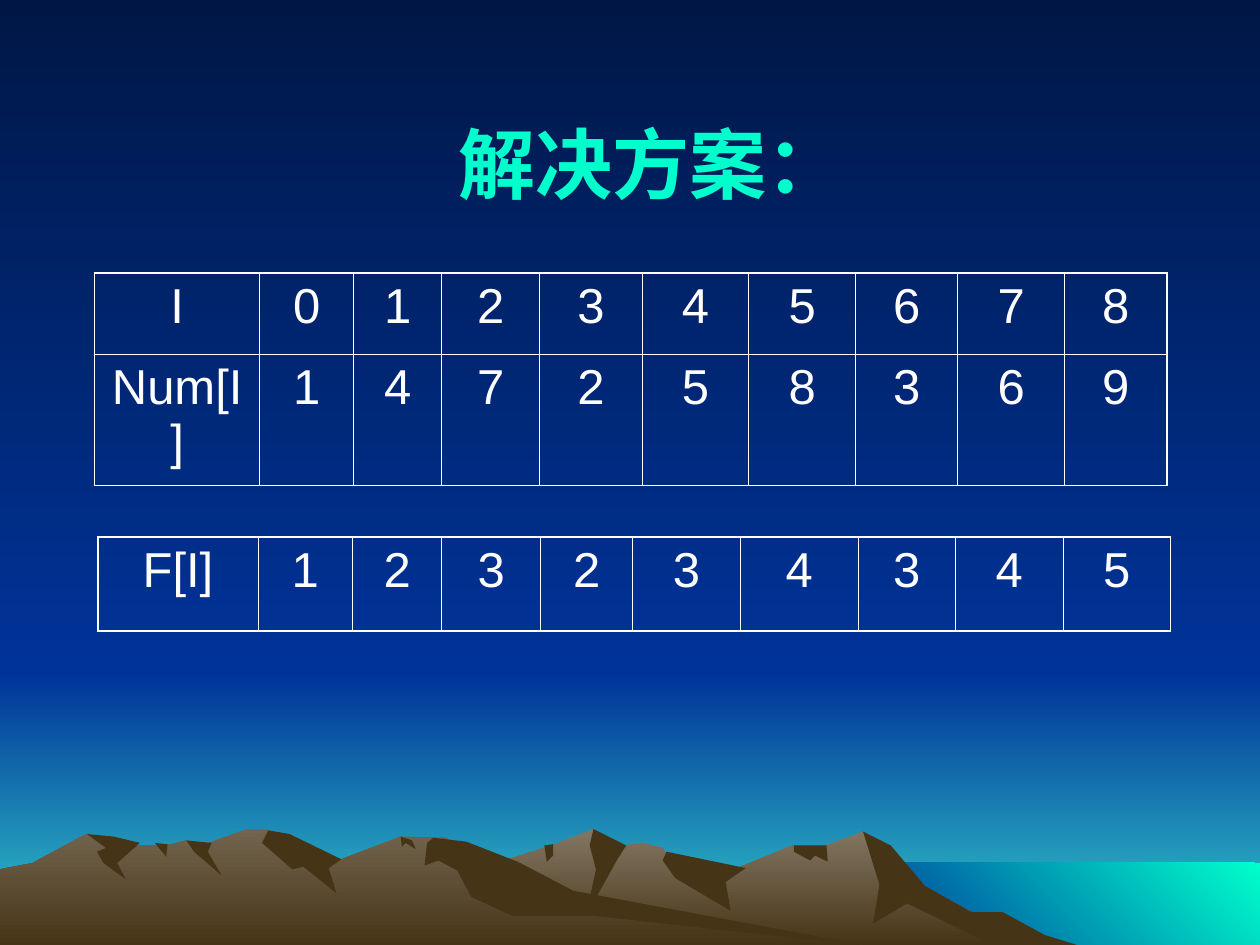
from lxml.etree import SubElement
from pptx import Presentation
from pptx.dml.color import RGBColor
from pptx.enum.shapes import MSO_SHAPE
from pptx.enum.text import MSO_ANCHOR, PP_ALIGN
from pptx.oxml.ns import qn
from pptx.util import Pt

COLORS = {
    "night": "001746", "blue": "003399", "horizon": "33CCCC", "mint": "00FFCC",
    "far_rock": "837763", "near_rock": "72644E", "shade": "463416", "white": "FFFFFF",
}
FONT = "Arial"
OUTER_LINE, INNER_LINE = Pt(1.08), Pt(0.45)


def paint(fill, names, angle=270):
    """Fill with one colour, or with a gradient between two."""
    if len(names) == 1:
        fill.solid()
        fill.fore_color.rgb = RGBColor.from_string(COLORS[names[0]])
        return
    fill.gradient()
    fill.gradient_angle = angle
    for stop, name in zip(fill.gradient_stops, names):
        stop.color.rgb = RGBColor.from_string(COLORS[name])


def format_text(paragraph, size, color, bold=False):
    paragraph.alignment = PP_ALIGN.CENTER
    for run in paragraph.runs:
        run.font.name = FONT
        run.font.size = Pt(size)
        run.font.bold = bold
        run.font.color.rgb = RGBColor.from_string(COLORS[color])


presentation = Presentation()
presentation.slide_width, presentation.slide_height = Pt(720), Pt(540)
slide = presentation.slides.add_slide(presentation.slide_layouts[6])
paint(slide.background.fill, ["night", "blue"])

# Sky and sea: left, top, width, height, colours, gradient angle
bands = [
    (0, 384, 720, 156, ["blue", "horizon"], 270),
    (0, 0, 720, 384, ["night", "blue"], 270),
    (492, 493, 228, 48, ["mint", "blue"], 225),
]
for left, top, width, height, names, angle in bands:
    shape = slide.shapes.add_shape(
        MSO_SHAPE.RECTANGLE, Pt(left), Pt(top), Pt(width), Pt(height))
    shape.shadow.inherit = False
    shape.line.fill.background()
    paint(shape.fill, names, angle)

# Mountains, back to front: colours and outline in units of 0.72 pt
UNIT = Pt(0.72)
mountains = [
    # Far range and its shaded sides
    (["far_rock", "shade"], [
        (821, 751), (723, 698), (685, 660), (656, 671), (629, 671), (566, 697),
        (536, 690), (526, 673), (509, 669), (486, 673), (471, 658), (438, 671),
        (394, 685), (258, 751)]),
    (["shade"], [
        (796, 724), (771, 724), (734, 703), (707, 671), (685, 660), (698, 702),
        (693, 733), (720, 717), (792, 752), (858, 751), (829, 742)]),
    (["shade"], [
        (471, 658), (468, 671), (473, 690), (465, 727), (490, 682), (497, 671)]),
    (["shade"], [
        (529, 676), (526, 683), (536, 697), (580, 723), (576, 700), (592, 689)]),
    (["shade"], [
        (630, 671), (630, 676), (643, 683), (647, 679), (657, 684), (656, 671)]),
    (["shade"], [(432, 671), (439, 670), (439, 679), (434, 684)]),
    # Near range and its shaded sides
    (["near_rock", "shade"], [
        (690, 751), (432, 712), (354, 665), (318, 664), (271, 682), (236, 681),
        (212, 658), (196, 658), (160, 671), (148, 667), (132, 671), (94, 671),
        (68, 662), (26, 685), (0, 690), (0, 751)]),
    (["shade"], [
        (213, 659), (208, 669), (232, 690), (241, 688), (267, 709), (261, 689),
        (271, 682), (230, 662)]),
    (["shade"], [
        (370, 668), (344, 665), (339, 669), (337, 687), (348, 683), (363, 691),
        (374, 712), (407, 727), (472, 727), (690, 751), (455, 707), (411, 684)]),
    (["shade"], [(318, 664), (327, 667), (330, 674), (322, 669), (319, 672)]),
    (["shade"], [
        (148, 667), (168, 669), (165, 676), (176, 695), (154, 676)]),
    (["shade"], [(123, 669), (133, 670), (132, 680)]),
    (["shade"], [
        (111, 669), (93, 685), (100, 698), (82, 685), (77, 676), (84, 673),
        (69, 662), (90, 664)]),
]
for names, outline in mountains:
    builder = slide.shapes.build_freeform(*outline[0], scale=UNIT)
    builder.add_line_segments(outline[1:], close=True)
    shape = builder.convert_to_shape()
    shape.shadow.inherit = False
    shape.line.fill.background()
    paint(shape.fill, names)

# Title
title = slide.shapes.add_textbox(Pt(54), Pt(48), Pt(636.5), Pt(90))
title.text_frame.word_wrap = True
title.text_frame.vertical_anchor = MSO_ANCHOR.MIDDLE
title.text_frame.text = "解决方案："
format_text(title.text_frame.paragraphs[0], 44, "mint", bold=True)

# Tables: left, top, column widths, row heights, rows of text
tables = [
    (54, 156, [94.5, 53.5, 50.5, 56, 58.5, 61, 61, 58.5, 61, 58.5], [46.5, 75],
     [["I", *"012345678"], ["Num[I]", *"147258369"]]),
    (56, 307, [91.5, 54, 51, 56.5, 52.5, 61.5, 67.5, 55.5, 61.5, 61.5], [53.75],
     [["F[I]", *"123234345"]]),
]
for left, top, widths, heights, rows in tables:
    frame = slide.shapes.add_table(
        len(rows), len(widths), Pt(left), Pt(top), Pt(sum(widths)), Pt(sum(heights)))
    table = frame.table
    table.first_row = table.horz_banding = False
    for column, width in zip(table.columns, widths):
        column.width = Pt(width)
    for row, height in zip(table.rows, heights):
        row.height = Pt(height)
    last_row, last_column = len(rows) - 1, len(widths) - 1
    for r, texts in enumerate(rows):
        for c, text in enumerate(texts):
            cell = table.cell(r, c)
            cell.text_frame.text = text
            format_text(cell.text_frame.paragraphs[0], 28, "white")
            # Thick lines outside, thin lines inside; borders precede the fill
            properties = cell._tc.get_or_add_tcPr()
            edges = {"a:lnL": c == 0, "a:lnR": c == last_column,
                     "a:lnT": r == 0, "a:lnB": r == last_row}
            for tag, is_outer in edges.items():
                width = OUTER_LINE if is_outer else INNER_LINE
                line = SubElement(properties, qn(tag), w=str(int(width)))
                solid = SubElement(line, qn("a:solidFill"))
                SubElement(solid, qn("a:srgbClr"), val=COLORS["white"])
            cell.fill.background()

presentation.save("out.pptx")
